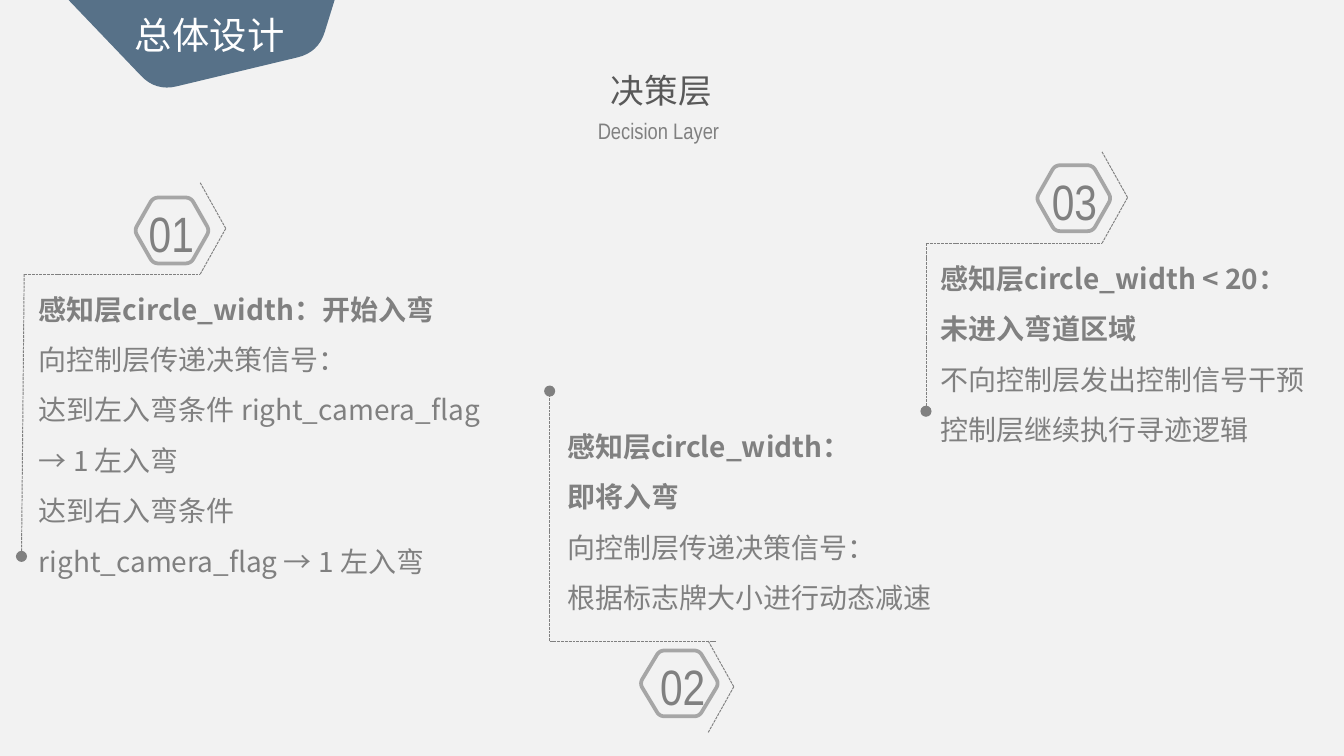
"""Build the decision layer slide with three linked, numbered panels."""
from dataclasses import dataclass
from math import dist

from lxml.etree import SubElement
from pptx import Presentation
from pptx.dml.color import RGBColor
from pptx.enum.dml import MSO_LINE
from pptx.enum.shapes import MSO_CONNECTOR
from pptx.enum.text import MSO_ANCHOR, MSO_AUTO_SIZE, PP_ALIGN
from pptx.oxml.ns import qn
from pptx.util import Inches, Pt

GREY, OUTLINE, SLATE = "808080", "A6A6A6", "577188"
DARK, WHITE, PAPER = "595959", "FFFFFF", "F2F2F2"
CJK, NARROW, ROBOTO = "Noto Sans CJK SC", "Arial Narrow", "Roboto Condensed"
Point = tuple[float, float]
Box = tuple[float, float, float, float]


@dataclass
class Panel:
    """A numbered panel; direction is -1 for a chevron going up, 1 for down."""
    number: str
    corner: Point
    rail_end: Point
    elbow: float
    level_end: float
    direction: int
    hexagon: Box
    number_left: float
    text_box: Box
    bold: list[str]
    plain: list[str]


PANELS = [
    Panel("01", (0.18, 2.04), (0.16, 4.14), 1.49, 1.49, -1,
          (1, 1.47, 0.56, 0.49), 0.95, (0.16, 1.98, 3.64, 2.74),
          ["感知层circle_width：开始入弯"],
          ["向控制层传递决策信号：",
           "达到左入弯条件 right_camera_flag → 1 左入弯",
           "达到右入弯条件", "right_camera_flag → 1 左入弯"]),
    Panel("02", (4.09, 4.77), (4.09, 2.91), 5.27, 5.33, 1,
          (4.76, 4.84, 0.59, 0.49), 4.74, (4.09, 3, 3.17, 1.98),
          ["感知层circle_width：", "即将入弯"],
          ["向控制层传递决策信号：", "根据标志牌大小进行动态减速"]),
    Panel("03", (6.89, 1.81), (6.89, 3.06), 8.2, 8.2, -1,
          (7.71, 1.23, 0.56, 0.49), 7.67, (6.87, 1.75, 3.61, 1.6),
          ["感知层circle_width < 20：", "未进入弯道区域"],
          ["不向控制层发出控制信号干预", "控制层继续执行寻迹逻辑"]),
]


def rgb(color: str) -> RGBColor:
    """Turn a hex string into a colour."""
    return RGBColor.from_string(color)


def write(sp, box: Box, lines: list[str], size: float, font: str, color: str,
          align=PP_ALIGN.CENTER, spacing: float = 1.0, bold: int = 0,
          inset: Point = (0.1, 0.05)) -> None:
    """Place a text shape and fill it; the first `bold` lines are bold."""
    sp.left, sp.top, sp.width, sp.height = map(Inches, box)
    tf = sp.text_frame
    tf.word_wrap = True
    tf.auto_size = MSO_AUTO_SIZE.SHAPE_TO_FIT_TEXT
    tf.vertical_anchor = MSO_ANCHOR.TOP
    tf.margin_left = tf.margin_right = Inches(inset[0])
    tf.margin_top = tf.margin_bottom = Inches(inset[1])
    tf.text = "\n".join(lines)
    for i, p in enumerate(tf.paragraphs):
        p.alignment, p.line_spacing = align, spacing
        p.font.size, p.font.name = Pt(size), font
        p.font.bold = i < bold
        p.font.color.rgb = rgb(color)
        for r in p.runs:
            r.font.name = font
            SubElement(r.font._element, qn("a:ea"), typeface=font)


def add_text(shapes, box: Box, *args, **kwargs) -> None:
    """Add a text box."""
    write(shapes.add_textbox(*map(Inches, box)), box, *args, **kwargs)


def add_line(shapes, start: Point, end: Point, dot: bool = False) -> None:
    """Add a dashed line, with a dot at its end if asked."""
    c = shapes.add_connector(MSO_CONNECTOR.STRAIGHT, *map(Inches, start + end))
    c.line.color.rgb = rgb(GREY)
    c.line.width = Pt(0.5)
    c.line.dash_style = MSO_LINE.SQUARE_DOT
    if dot:
        SubElement(c.line._get_or_add_ln(), qn("a:tailEnd"), type="oval")
    SubElement(c._element.spPr, qn("a:effectLst"))


def round_corner(before: Point, corner: Point, after: Point, cut: float) -> list[Point]:
    """Return points on a curve that replaces a corner."""
    def toward(other: Point) -> Point:
        t = cut / dist(corner, other)
        return tuple(a + t * (b - a) for a, b in zip(corner, other))
    start, end = toward(before), toward(after)
    return [tuple((1 - t) ** 2 * a + 2 * t * (1 - t) * b + t * t * c
                  for a, b, c in zip(start, corner, end))
            for t in (i / 8 for i in range(9))]


def add_outline(shapes, corners: list[Point], cuts: list[float]):
    """Add a closed polygon; a cut of zero keeps its corner sharp."""
    points = []
    for i, (corner, cut) in enumerate(zip(corners, cuts)):
        after = corners[(i + 1) % len(corners)]
        points += round_corner(corners[i - 1], corner, after, cut) if cut else [corner]
    points = [(Inches(x), Inches(y)) for x, y in points]
    fb = shapes.build_freeform(*points[0])
    fb.add_line_segments(points[1:], close=True)
    sp = fb.convert_to_shape()
    sp.shadow.inherit = False
    return sp


def add_badge(shapes) -> None:
    """Add the section tab hanging from the top edge."""
    sp = add_outline(shapes, [(0.51, 0), (2.49, 0), (2.37, 0.39), (1.16, 0.68)],
                     [0, 0, 0.16, 0.16])
    sp.fill.solid()
    sp.fill.fore_color.rgb = rgb(SLATE)
    sp.line.fill.background()
    add_text(shapes, (0.87, 0.04, 1.38, 0.44), ["总体设计"], 20, ROBOTO, WHITE)


def add_number(shapes, panel: Panel) -> None:
    """Add a rounded hexagon grouped with its number."""
    x, y, w, h = panel.hexagon
    group = shapes.add_group_shape().shapes
    sp = add_outline(group, [(x, y + h / 2), (x + w / 4, y), (x + w * 3 / 4, y),
                             (x + w, y + h / 2), (x + w * 3 / 4, y + h),
                             (x + w / 4, y + h)], [0.04] * 6)
    sp.fill.background()
    sp.line.color.rgb = rgb(OUTLINE)
    sp.line.width = Pt(2)
    add_text(group, (panel.number_left, y - 0.03, w + 0.09, 0.58),
             [panel.number], 26.6, NARROW, GREY, inset=(0.13, 0.07))


def add_panel(shapes, panel: Panel) -> None:
    """Add a panel's text, rail, chevron and number."""
    add_text(shapes, panel.text_box, panel.bold + panel.plain, 15, CJK, GREY,
             align=PP_ALIGN.LEFT, spacing=1.5, bold=len(panel.bold),
             inset=(0.13, 0.07))
    y = panel.corner[1]
    elbow = (panel.elbow, y)
    tip = (panel.elbow + 0.19, y + 0.34 * panel.direction)
    far = (panel.elbow, y + 0.68 * panel.direction)
    add_line(shapes, panel.corner, (panel.level_end, y))
    add_line(shapes, panel.corner, panel.rail_end, dot=True)
    add_line(shapes, elbow, tip)
    add_line(shapes, tip, far)
    add_number(shapes, panel)


def main() -> None:
    """Build and save the slide."""
    prs = Presentation()
    prs.slide_width, prs.slide_height = Inches(10), Inches(10 * 9 / 16)
    s = prs.slides.add_slide(prs.slide_layouts[5])
    s.background.fill.solid()
    s.background.fill.fore_color.rgb = rgb(PAPER)
    write(s.shapes.title, (3.8, 0.47, 2.24, 0.4), ["决策层"], 18, CJK, DARK)
    add_text(s.shapes, (4.18, 0.82, 1.44, 0.3), ["Decision Layer"], 12, NARROW, GREY)
    add_badge(s.shapes)
    for panel in PANELS:
        add_panel(s.shapes, panel)
    prs.save("out.pptx")


main()
